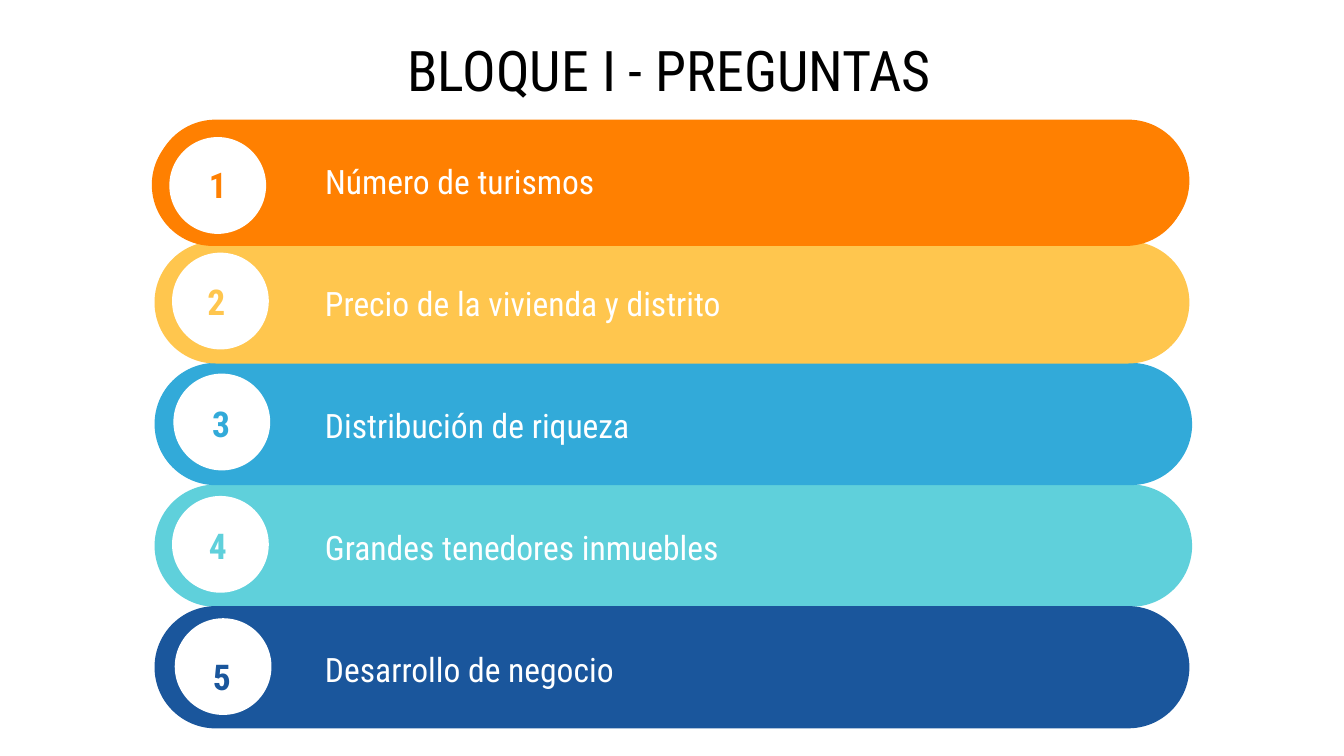
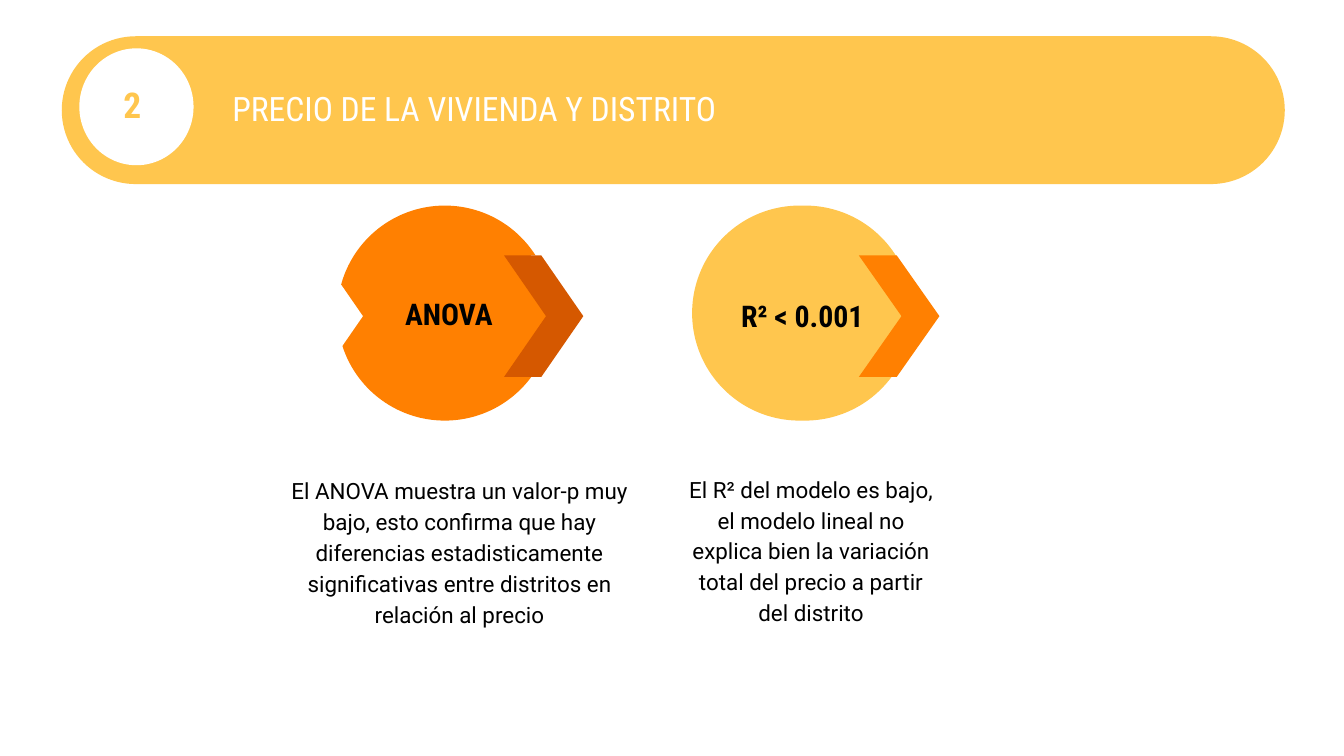
import pptx
import pptx.dml.color
import pptx.enum.shapes
import pptx.enum.text
import pptx.util

COLUMNS, ROWS = 100, 56.25
CELL = pptx.util.Inches(0.1)
COLOURS = {
    "orange": "FF8001",
    "yellow": "FFC64E",
    "blue": "32AAD9",
    "aqua": "5FD0DB",
    "navy": "1A569C",
    "rust": "D55800",
    "white": "FFFFFF",
    "black": "000000",
}
HEADING_FONT, BODY_FONT = "Roboto Condensed", "Roboto"
SHAPES = pptx.enum.shapes.MSO_SHAPE
ALIGN = pptx.enum.text.PP_ALIGN
ANCHOR = pptx.enum.text.MSO_ANCHOR


def grid(*cells):
    return [round(cell * CELL) for cell in cells]


def colour(name):
    return pptx.dml.color.RGBColor.from_string(COLOURS[name])


def write(shape, text, size=18, font=HEADING_FONT, ink="white", bold=False,
          align=ALIGN.LEFT, anchor=ANCHOR.MIDDLE, inset=1, line_spacing=None):
    frame = shape.text_frame
    frame.word_wrap = True
    frame.vertical_anchor = anchor
    margin = grid(inset)[0]
    frame.margin_left = frame.margin_right = margin
    frame.margin_top = frame.margin_bottom = margin
    paragraph = frame.paragraphs[0]
    paragraph.alignment = align
    paragraph.line_spacing = line_spacing
    run = paragraph.add_run()
    run.text = text
    run.font.name = font
    run.font.size = pptx.util.Pt(size)
    run.font.bold = bold
    run.font.color.rgb = colour(ink)


class Deck:
    def __init__(self):
        self.presentation = pptx.Presentation()
        width, height = grid(COLUMNS, ROWS)
        self.presentation.slide_width = width
        self.presentation.slide_height = height
        self.slide = None

    def new_slide(self):
        layout = self.presentation.slide_layouts[6]
        self.slide = self.presentation.slides.add_slide(layout)

    def shape(self, kind, box, fill, adjustment=None):
        shape = self.slide.shapes.add_shape(kind, *grid(*box))
        shape.shadow.inherit = False
        shape.fill.solid()
        shape.fill.fore_color.rgb = colour(fill)
        shape.line.fill.background()
        if adjustment is not None:
            shape.adjustments[0] = adjustment

    def band(self, box, fill):
        self.shape(SHAPES.ROUNDED_RECTANGLE, box, fill, 0.5)

    def chevron(self, left, fill, width=5.9):
        self.shape(SHAPES.CHEVRON, (left, 19, width, 9.05), fill, 0.53)

    def text(self, box, text, **style):
        write(self.slide.shapes.add_textbox(*grid(*box)), text, **style)

    def badge(self, number, circle, number_box, ink):
        self.shape(SHAPES.OVAL, circle, "white")
        self.text(number_box, str(number), size=19, ink=ink, bold=True, align=ALIGN.CENTER)

    def result(self, box, text):
        self.text(box, text, size=16, ink="black", bold=True, align=ALIGN.CENTER, inset=2.5)

    def explanation(self, box, text):
        self.text(box, text, size=12, font=BODY_FONT, ink="black", align=ALIGN.CENTER,
                  anchor=ANCHOR.TOP, line_spacing=1.15)


def build_questions(deck):
    deck.new_slide()
    deck.text((4.8, 2.5, 90, 5.3), "BLOQUE I - PREGUNTAS", size=30, ink="black",
              align=ALIGN.CENTER)
    questions = [
        ("Número de turismos", "orange", 77, 24.8, (12.6, 10.2), (12.6, 11)),
        ("Precio de la vivienda y distrito", "yellow", 77, 33.7, (12.8, 18.8), (12.5, 19.7)),
        ("Distribución de riqueza", "blue", 77.2, 27, (12.9, 27.8), (12.85, 28.8)),
        ("Grandes tenedores inmuebles", "aqua", 77.2, 33.7, (12.8, 36.9), (12.6, 37.9)),
        ("Desarrollo de negocio", "navy", 77, 26.7, (13, 46), (12.9, 47.6)),
    ]
    bands = [((11.5, 8.9 + 9.05 * row, width, 9.1), fill)
             for row, (_, fill, width, *_) in enumerate(questions)]
    for box, fill in reversed(bands[:-1]):
        deck.band(box, fill)
    deck.band((11.3, 9.2, 77, 9.1), "orange")
    deck.band(*bands[-1])
    for row, (label, ink, _, label_width, circle, number) in enumerate(questions):
        deck.badge(row + 1, (*circle, 7.2, 7.2), (*number, 7.2, 5.4), ink)
        deck.text((23.2, 10.1 + 9.07 * row, label_width, 6.8), label)


def build_housing(deck):
    deck.new_slide()
    deck.band((51.5, 15.3, 16.4, 16), "yellow")
    deck.chevron(63.9, "orange", 6)
    deck.result((51.7, 19.6, 16, 7.7), "R² < 0.001")
    deck.explanation((49.8, 34.1, 21.1, 12.8),
                     "El R² del modelo es bajo, el modelo lineal no explica bien la variación "
                     "total del precio a partir del distrito")

    deck.chevron(41, "white")
    deck.band((25.1, 15.3, 16, 16), "orange")
    for left, fill in ((39.5, "white"), (37.5, "rust"), (21.1, "white")):
        deck.chevron(left, fill)
    deck.result((25.4, 19.5, 16, 7.7), "ANOVA")
    deck.explanation((19.5, 34.2, 29.4, 12.8),
                     "El ANOVA muestra un valor-p muy bajo, esto confirma que hay diferencias "
                     "estadisticamente significativas entre distritos en relación al precio")

    deck.band((4.6, 2.7, 91, 11), "yellow")
    deck.text((16.3, 3.9, 39.9, 8.2), "PRECIO DE LA VIVIENDA Y DISTRITO")
    deck.badge(2, (5.9, 3.6, 8.5, 8.7), (5.6, 4.5, 8.5, 6.5), "yellow")


def main():
    deck = Deck()
    build_questions(deck)
    build_housing(deck)
    deck.presentation.save("out.pptx")


if __name__ == "__main__":
    main()
